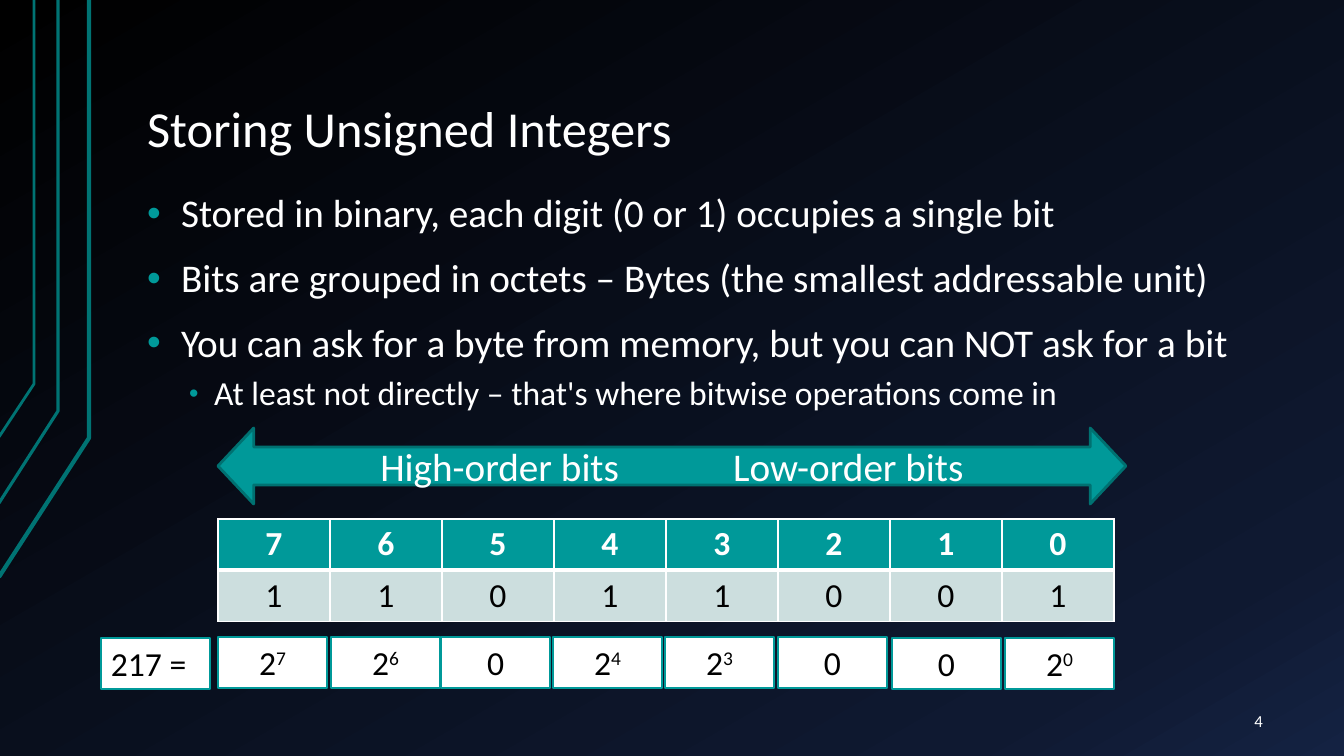
from dataclasses import dataclass
from pptx import Presentation
from pptx.dml.color import RGBColor
from pptx.enum.shapes import MSO_SHAPE
from pptx.enum.text import MSO_ANCHOR, MSO_AUTO_SIZE, PP_ALIGN
from pptx.oxml import parse_xml
from pptx.oxml.ns import nsdecls
from pptx.util import Pt

RECTANGLE, DOUBLE_ARROW = MSO_SHAPE.RECTANGLE, MSO_SHAPE.LEFT_RIGHT_ARROW
TOP, MIDDLE, BOTTOM = MSO_ANCHOR.TOP, MSO_ANCHOR.MIDDLE, MSO_ANCHOR.BOTTOM
LEFT, CENTER, RIGHT = PP_ALIGN.LEFT, PP_ALIGN.CENTER, PP_ALIGN.RIGHT
NO_FIT, GROW = MSO_AUTO_SIZE.NONE, MSO_AUTO_SIZE.SHAPE_TO_FIT_TEXT
PIXEL = 914400 / 100.8


@dataclass(frozen=True)
class Theme:
    font: str = "Calibri"
    white: str = "FFFFFF"
    black: str = "000000"
    teal: str = "009999"
    arrow_edge: str = "007171"
    rail: str = "007373"
    pale: str = "CCDEDE"
    backdrop: tuple = ((0, "000000"), (85, "0F1931"), (100, "142242"))
    title: int = 36
    body: int = 28
    detail: int = 24
    number: int = 12


theme = Theme()


def px(*lengths):
    return [round(length * PIXEL) for length in lengths]


def style(para, size, color, align=LEFT, bold=False):
    para.alignment = align
    for span in para.runs:
        span.font.name = theme.font
        span.font.size = Pt(size)
        span.font.bold = bold
        span.font.color.rgb = RGBColor.from_string(color)


deck = Presentation()
deck.slide_width, deck.slide_height = px(1344, 756)
page = deck.slides.add_slide(deck.slide_layouts[5])

stops = "".join(
    f'<a:gs pos="{position * 1000}"><a:srgbClr val="{color}"/></a:gs>'
    for position, color in theme.backdrop
)
page.element.cSld.insert(0, parse_xml(
    f'<p:bg {nsdecls("p", "a")}><p:bgPr><a:gradFill rotWithShape="1"><a:gsLst>{stops}</a:gsLst>'
    '<a:lin ang="3600000" scaled="0"/></a:gradFill><a:effectLst/></p:bgPr></p:bg>'
))

for x, bend, end, weight in ((89, 438, 577, 3), (58, 411, 503, 2.25), (34, 384, 437, 2)):
    builder = page.shapes.build_freeform(-1, end, PIXEL)
    builder.add_line_segments([(x, bend), (x, 0)], close=False)
    rail = builder.convert_to_shape()
    rail.shadow.inherit = False
    rail.fill.background()
    rail.line.color.rgb = RGBColor.from_string(theme.rail)
    rail.line.width = Pt(weight)

title = page.shapes.title
title.left, title.top, title.width, title.height = px(134, 30, 1142, 135)
body = page.shapes.add_textbox(*px(134, 187, 1142, 492))
number = page.shapes.add_textbox(*px(1164, 701, 112, 40))
for box, anchor in ((title, BOTTOM), (body, TOP), (number, MIDDLE)):
    frame = box.text_frame
    frame.word_wrap = True
    frame.auto_size = NO_FIT
    frame.vertical_anchor = anchor
    frame.margin_left, frame.margin_right, frame.margin_top, frame.margin_bottom = px(13, 13, 7, 7)

title.text_frame.text = "Storing Unsigned Integers"
title.text_frame.paragraphs[0].line_spacing = 0.9
style(title.text_frame.paragraphs[0], theme.title, theme.white)
number.text_frame.text = "4"
style(number.text_frame.paragraphs[0], theme.number, theme.white, RIGHT)

points = (
    (0, "Stored in binary, each digit (0 or 1) occupies a single bit"),
    (0, "Bits are grouped in octets – Bytes (the smallest addressable unit)"),
    (0, "You can ask for a byte from memory, but you can NOT ask for a bit"),
    (1, "At least not directly – that's where bitwise operations come in"),
)
levels = ((theme.body, 16, 34, 34, 100), (theme.detail, 8, 67, 25, 80))
body.text_frame.text = "\n".join(text for level, text in points)
for para, (level, text) in zip(body.text_frame.paragraphs, points):
    size, before, margin, hang, bullet_size = levels[level]
    para.level = level
    para.line_spacing = 0.9
    para.space_before = Pt(before)
    style(para, size, theme.white)
    properties = para._p.get_or_add_pPr()
    indent, hanging = px(margin, -hang)
    properties.set("marL", str(indent))
    properties.set("indent", str(hanging))
    for tag in (
        f'<a:buClr {nsdecls("a")}><a:srgbClr val="{theme.teal}"/></a:buClr>',
        f'<a:buSzPct {nsdecls("a")} val="{bullet_size * 1000}"/>',
        f'<a:buFont {nsdecls("a")} typeface="Arial"/>',
        f'<a:buChar {nsdecls("a")} char="•"/>',
    ):
        properties.append(parse_xml(tag))

bits = "11011001"
table = page.shapes.add_table(2, len(bits), *px(218, 519, 896, 102)).table
rows = (("76543210", theme.teal, theme.white, True, 3), (bits, theme.pale, theme.black, False, 1))
for row, (digits, fill, color, bold, bottom) in enumerate(rows):
    for column, digit in enumerate(digits):
        cell = table.cell(row, column)
        cell.text = digit
        style(cell.text_frame.paragraphs[0], theme.detail, color, CENTER, bold)
        top = 1 if row == 0 else 3
        properties = cell._tc.get_or_add_tcPr()
        for side, weight in (("L", 1), ("R", 1), ("T", top), ("B", bottom)):
            properties.append(parse_xml(
                f'<a:ln{side} {nsdecls("a")} w="{Pt(weight)}"><a:solidFill>'
                f'<a:srgbClr val="{theme.white}"/></a:solidFill></a:ln{side}>'
            ))
        cell.fill.solid()
        cell.fill.fore_color.rgb = RGBColor.from_string(fill)

terms = (
    (101, 638, "217 =", ""),
    (218, 637, "2", "7"),
    (331, 637, "2", "6"),
    (441, 637, "0", ""),
    (553, 637, "2", "4"),
    (665, 637, "2", "3"),
    (778, 637, "0", ""),
    (892, 638, "0", ""),
    (1005, 638, "2", "0"),
)
labels = [
    (RECTANGLE, (left, top, 109, 51), base, power, theme.white, theme.teal,
     theme.detail, theme.black, LEFT if base == "217 =" else CENTER)
    for left, top, base, power in terms
]
labels.append((DOUBLE_ARROW, (218, 428, 908, 76), "High-order bits\t\t\tLow-order bits", "",
               theme.teal, theme.arrow_edge, theme.body, theme.white, CENTER))
for kind, place, base, power, fill, edge, size, color, align in labels:
    box = page.shapes.add_shape(kind, *px(*place))
    box.shadow.inherit = False
    box.fill.solid()
    box.fill.fore_color.rgb = RGBColor.from_string(fill)
    box.line.color.rgb = RGBColor.from_string(edge)
    box.line.width = Pt(2)
    frame = box.text_frame
    frame.word_wrap = True
    frame.text = base
    para = frame.paragraphs[0]
    if power:
        span = para.add_run()
        span.text = power
        span.font._element.set("baseline", "30000")
    style(para, size, color, align)
    if kind == DOUBLE_ARROW:
        box.adjustments[0], box.adjustments[1] = 0.5, 0.47
        frame.vertical_anchor = MIDDLE
    else:
        frame.auto_size = GROW
        frame.vertical_anchor = TOP

deck.save("out.pptx")
